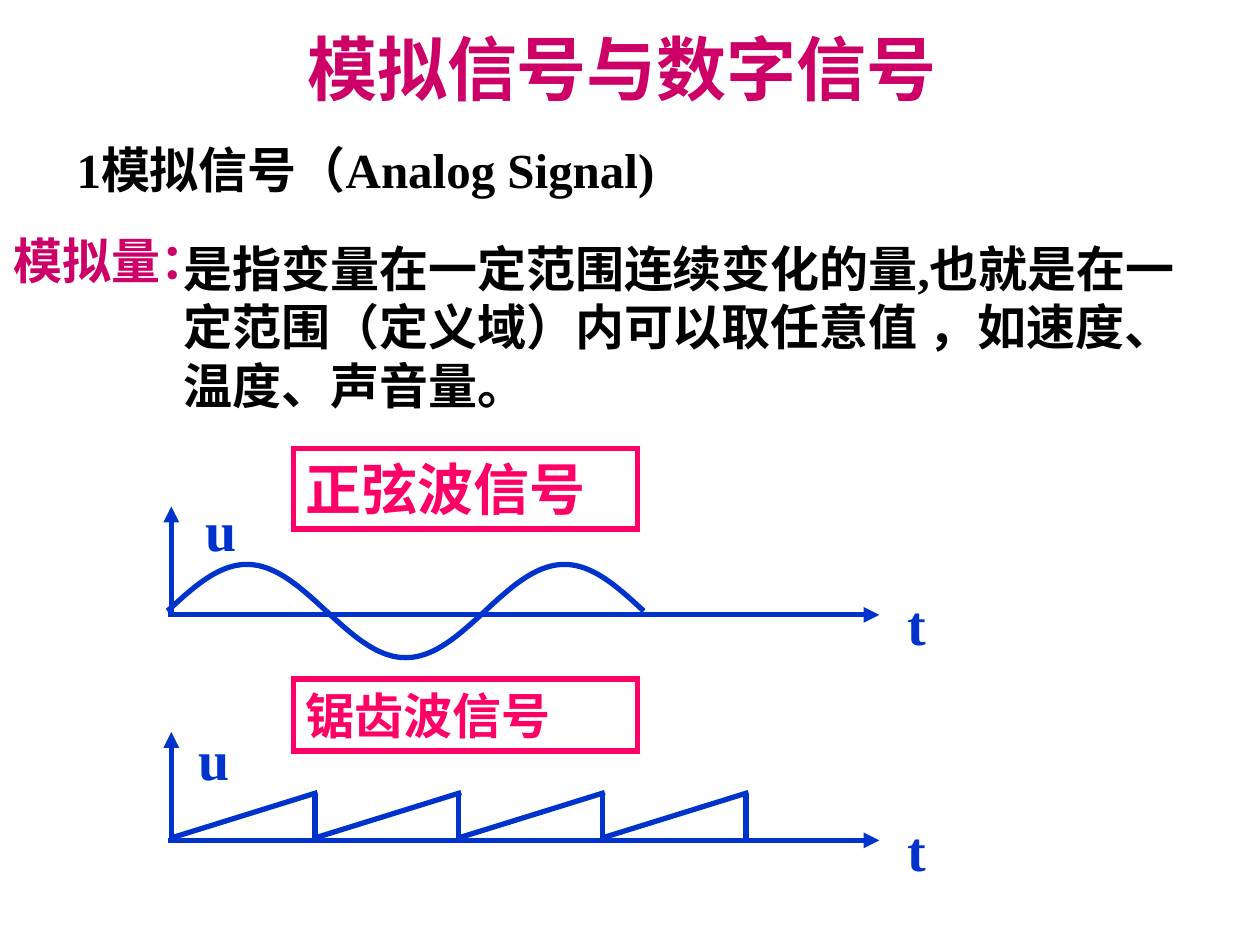
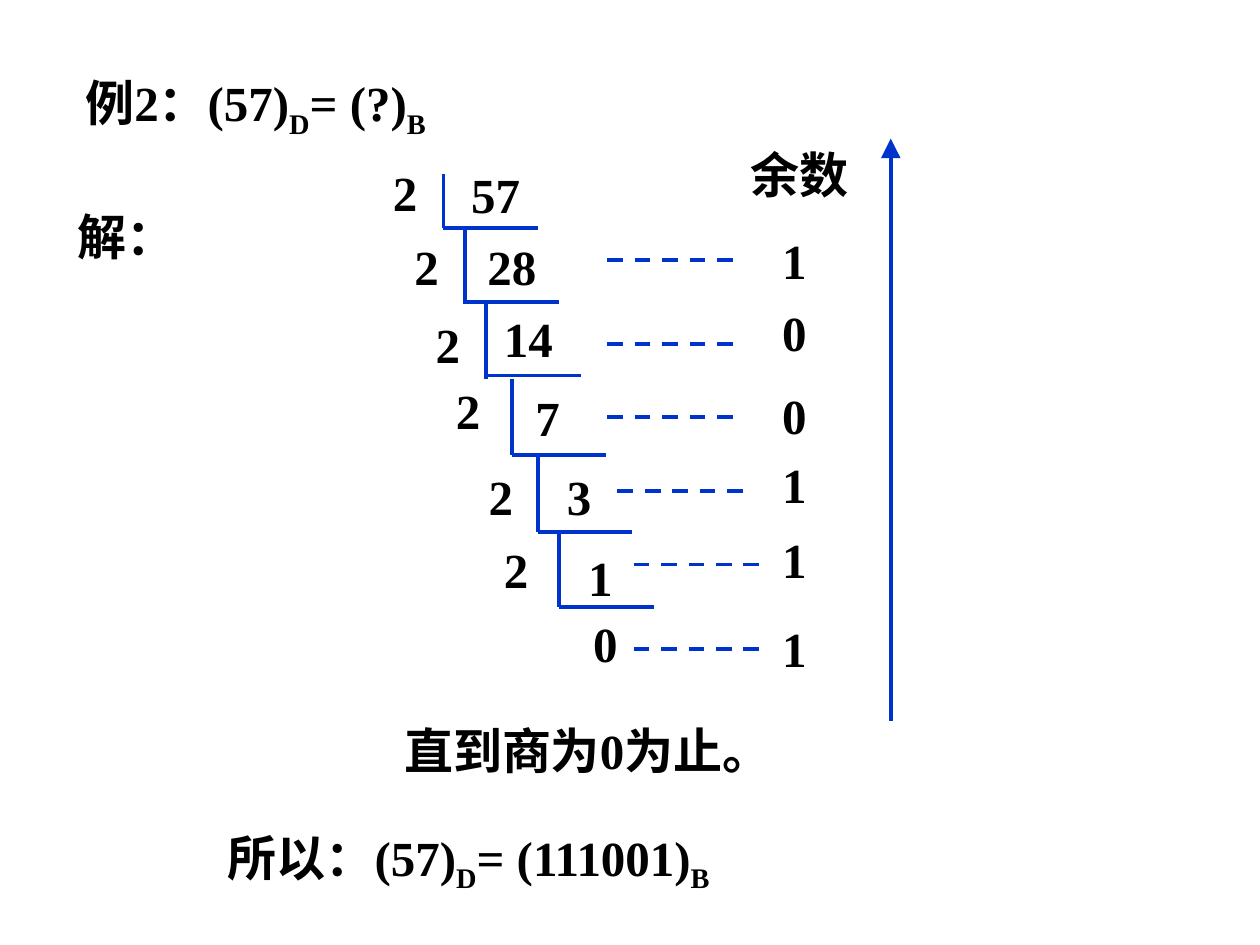
"""Builds two slides on analog signals and decimal to binary conversion."""
import math

import pptx
import pptx.dml.color
import pptx.enum.dml
import pptx.enum.shapes
import pptx.enum.text
import pptx.oxml
import pptx.oxml.ns
import pptx.util
from pptx.util import Inches

BLACK = pptx.dml.color.RGBColor(0x00, 0x00, 0x00)
BLUE = pptx.dml.color.RGBColor(0x00, 0x33, 0xCC)
MAGENTA = pptx.dml.color.RGBColor(0xCC, 0x00, 0x66)
PINK = pptx.dml.color.RGBColor(0xFF, 0x00, 0x66)

FONT = {"name": "Times New Roman", "bold": True}
FRAME = {
    "margin_left": Inches(0.1),
    "margin_right": Inches(0.1),
    "margin_top": Inches(0.05),
    "margin_bottom": Inches(0.05),
    "vertical_anchor": pptx.enum.text.MSO_ANCHOR.TOP,
    "auto_size": pptx.enum.text.MSO_AUTO_SIZE.SHAPE_TO_FIT_TEXT,
}
AXIS_WEIGHT = 3
BRACKET_WEIGHT = 2.25
LINE_HEIGHT = 0.57


def apply(target, values):
    for name, value in values.items():
        setattr(target, name, value)


def drawing_element(tag, attributes=""):
    return pptx.oxml.parse_xml(f'<a:{tag} {pptx.oxml.ns.nsdecls("a")} {attributes}/>')


def outline(sp):
    return sp._element.spPr.find(pptx.oxml.ns.qn("a:ln"))


def fill_text(sp, parts, size, color, wrap):
    """Write the parts as runs, every second one as a subscript."""
    tf = sp.text_frame
    apply(tf, {**FRAME, "word_wrap": wrap})
    p = tf.paragraphs[0]
    p.alignment = pptx.enum.text.PP_ALIGN.LEFT
    p._p.get_or_add_pPr().set("hangingPunct", "0")
    for i, part in enumerate(parts):
        r = p.add_run()
        r.text = part
        apply(r.font, {**FONT, "size": pptx.util.Pt(size)})
        r.font.color.rgb = color
        if i % 2:
            r.font._element.set("baseline", "-25000")


def add_text(s, box, *parts, size=28, color=BLACK, wrap=True):
    sp = s.shapes.add_textbox(*map(Inches, box))
    fill_text(sp, parts, size, color, wrap)


def add_framed_label(s, box, text, size):
    sp = s.shapes.add_shape(pptx.enum.shapes.MSO_SHAPE.RECTANGLE, *map(Inches, box))
    sp.shadow.inherit = False
    sp.fill.background()
    sp.line.color.rgb = PINK
    sp.line.width = pptx.util.Pt(3)
    outline(sp).append(drawing_element("miter", 'lim="800000"'))
    fill_text(sp, [text], size, PINK, True)


def add_line(s, start, end, weight, arrow=None, dash=False):
    """Draw a straight line; arrow is the arrowhead size, med or lg."""
    c = s.shapes.add_connector(
        pptx.enum.shapes.MSO_CONNECTOR.STRAIGHT, *map(Inches, (*start, *end)))
    c.line.color.rgb = BLUE
    c.line.width = pptx.util.Pt(weight)
    if dash:
        c.line.dash_style = pptx.enum.dml.MSO_LINE.DASH
    if arrow:
        outline(c).append(
            drawing_element("tailEnd", f'type="triangle" w="{arrow}" len="{arrow}"'))
    c._element.spPr.append(drawing_element("effectLst"))


def add_axes(s, y, u_left, u_top):
    """Draw the u and t axes with the time axis at height y."""
    add_line(s, (1.36, y - 0.01), (1.36, y - 0.86), AXIS_WEIGHT, arrow="med")
    add_line(s, (1.33, y), (6.98, y), AXIS_WEIGHT, arrow="med")
    add_text(s, (7.1, y - 0.25, 0.82, 0.64), "t", size=32, color=BLUE)
    add_text(s, (u_left, u_top, 0.52, 0.64), "u", size=32, color=BLUE)


def add_half_wave(s, left, middle, width, height):
    """Draw half a sine period; a negative height points downwards."""
    steps = 40
    points = [(Inches(left + width * i / steps),
               Inches(middle - height * math.sin(math.pi * i / steps)))
              for i in range(steps + 1)]
    builder = s.shapes.build_freeform(*points[0])
    builder.add_line_segments(points[1:], close=False)
    sp = builder.convert_to_shape()
    sp.shadow.inherit = False
    sp.fill.background()
    sp.line.color.rgb = BLUE
    sp.line.width = pptx.util.Pt(AXIS_WEIGHT)


def add_sawtooth(s, left, base, pitch, count):
    for i in range(count):
        x = left + i * pitch
        add_line(s, (x, base - 0.01), (x + pitch + 0.02, base - 0.37), AXIS_WEIGHT)
        add_line(s, (x + pitch, base - 0.36), (x + pitch, base), AXIS_WEIGHT)


def add_division_step(s, value, number_box, divisor_at, x, top, bottom, bar):
    """Draw one bracket of the short division with its divisor and dividend."""
    add_line(s, (x, top), (x, bottom), BRACKET_WEIGHT)
    add_line(s, (x, bar), (x + 0.75, bar), BRACKET_WEIGHT)
    add_text(s, (*number_box, LINE_HEIGHT), str(value))
    add_text(s, (*divisor_at, 0.5, LINE_HEIGHT), "2")


def add_remainder(s, value, dash_left, dash_y, top):
    add_line(s, (dash_left, dash_y), (dash_left + 1.04, dash_y), BRACKET_WEIGHT, dash=True)
    add_text(s, (6.11, top, 0.5, LINE_HEIGHT), str(value))


def build_analog_slide(s):
    add_text(s, (2.34, 0.15, 5.3, 0.77), "模拟信号与数字信号",
             size=40, color=MAGENTA, wrap=False)
    add_text(s, (0.51, 1.06, 4.97, LINE_HEIGHT), "1模拟信号（Analog Signal)", wrap=False)
    add_text(s, (0.01, 1.78, 1.75, LINE_HEIGHT), "模拟量：", color=MAGENTA, wrap=False)
    add_text(s, (1.36, 1.84, 8.13, 1.5),
             "是指变量在一定范围连续变化的量,也就是在一定范围（定义域）内可以取任意值 ，"
             "如速度、温度、声音量。")

    add_axes(s, 4.88, 1.53, 3.88)
    for i in range(3):
        add_half_wave(s, 1.33 + i * 1.26, 4.85, 1.26, 0.37 * (-1) ** i)
    add_framed_label(s, (2.33, 3.56, 2.73, 0.64), "正弦波信号", 32)

    add_framed_label(s, (2.33, 5.39, 2.73, LINE_HEIGHT), "锯齿波信号", 28)
    add_axes(s, 6.67, 1.48, 5.7)
    add_sawtooth(s, 1.36, 6.66, 1.14, 4)


def build_conversion_slide(s):
    add_text(s, (0.58, 0.53, 8.47, 0.63), "例2：(57)", "D", "= (?)", "B")
    add_text(s, (0.52, 1.59, 1.67, LINE_HEIGHT), "解：")
    add_text(s, (5.86, 1.1, 1, LINE_HEIGHT), "余数")

    steps = [
        ((3.64, 1.26, 0.75), (3.02, 1.24), 3.52, 1.38, 1.81, 1.81),
        ((3.77, 1.83, 0.75), (3.19, 1.83), 3.69, 1.81, 2.41, 2.4),
        ((3.9, 2.4, 0.75), (3.36, 2.45), 3.86, 2.41, 3.01, 2.98),
        ((4.15, 3.03, 0.75), (3.52, 2.97), 4.06, 3.01, 3.61, 3.61),
        ((4.4, 3.65, 0.42), (3.78, 3.65), 4.27, 3.61, 4.22, 4.22),
        ((4.57, 4.3, 0.5), (3.9, 4.23), 4.44, 4.22, 4.82, 4.82),
    ]
    remainders = [(4.82, 2.06, 1.78), (4.82, 2.73, 2.35), (4.82, 3.31, 3.01),
                  (4.9, 3.9, 3.56), (5.03, 4.48, 4.15), (5.03, 5.15, 4.86)]
    number = 57
    for step, remainder in zip(steps, remainders):
        add_division_step(s, number, *step)
        number, rest = divmod(number, 2)
        add_remainder(s, rest, *remainder)
    add_text(s, (4.61, 4.82, 0.5, LINE_HEIGHT), str(number))

    add_line(s, (7.07, 5.72), (7.07, 1.1), BRACKET_WEIGHT, arrow="lg")
    add_text(s, (3.11, 5.67, 3.3, LINE_HEIGHT), "直到商为0为止。", wrap=False)
    add_text(s, (1.71, 6.52, 6.21, 0.63), "所以：(57)", "D", "= (111001)", "B")


def main():
    prs = pptx.Presentation()
    prs.slide_width, prs.slide_height = Inches(10), Inches(7.5)
    for build in (build_analog_slide, build_conversion_slide):
        build(prs.slides.add_slide(prs.slide_layouts[6]))
    prs.save("out.pptx")


if __name__ == "__main__":
    main()
